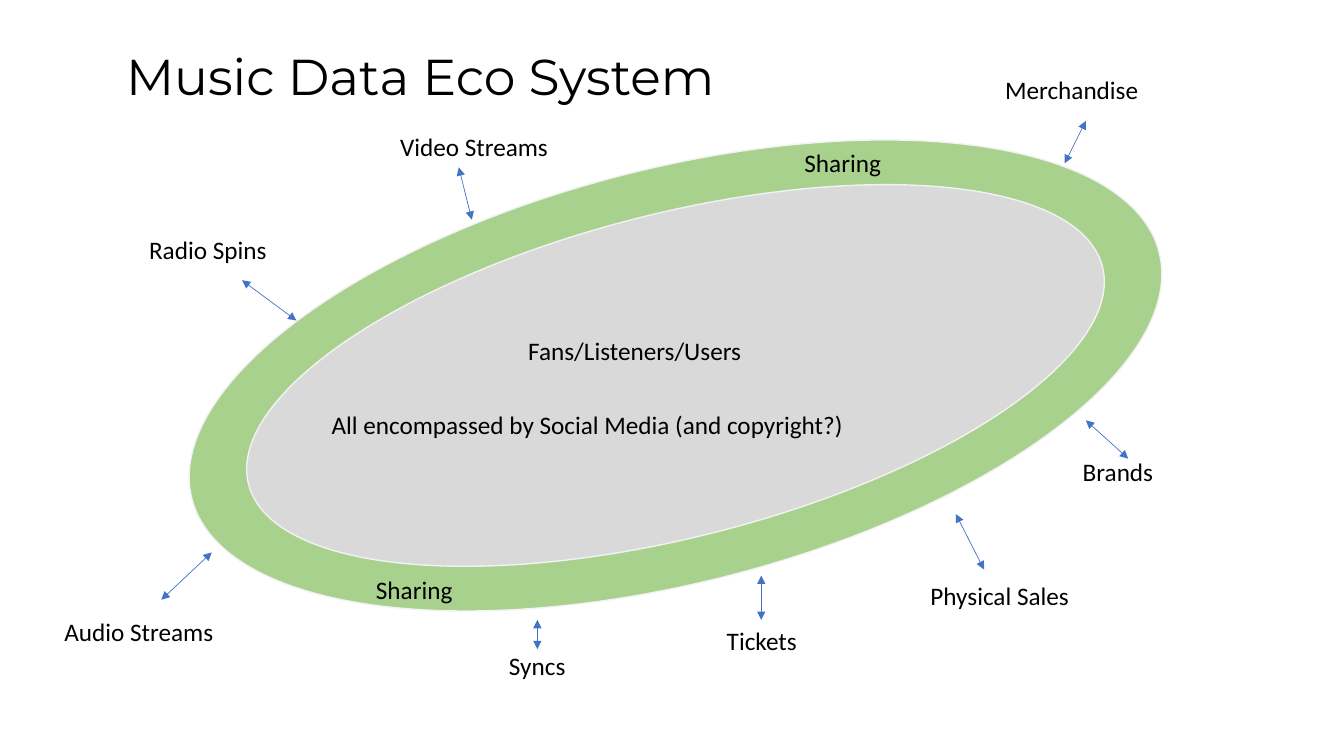
from collections import namedtuple

from lxml import etree
from pptx import Presentation
from pptx.dml.color import RGBColor
from pptx.enum.shapes import MSO_CONNECTOR, MSO_SHAPE
from pptx.enum.text import MSO_ANCHOR, MSO_AUTO_SIZE, PP_ALIGN
from pptx.oxml.ns import qn
from pptx.util import Inches, Pt

STRAIGHT = MSO_CONNECTOR.STRAIGHT
OVAL = MSO_SHAPE.OVAL
TOP = MSO_ANCHOR.TOP
NO_FIT = MSO_AUTO_SIZE.NONE
LEFT = PP_ALIGN.LEFT

BLACK = RGBColor(0x00, 0x00, 0x00)
GREEN = RGBColor(0xA9, 0xD1, 0x8E)
GRAY = RGBColor(0xD9, 0xD9, 0xD9)
PALE = RGBColor(0xF2, 0xF2, 0xF2)
BLUE = RGBColor(0x44, 0x72, 0xC4)

Box = namedtuple("Box", "left top width height")

TITLE_BOX = Box(1.15, 0.4, 7.97, 0.71)
RING_BOX = Box(1.75, 1.67, 9.9, 4.11)
RING_INSET = (0.58, 0.45)
TILT = 345.7
LABEL_HEIGHT = 0.4

# Offsets are measured from the ring box: label left, top, width; arrow inner and outer ends.
SOURCES = [
    ("Physical Sales", (7.38, 4.04, 1.79), (7.73, 3.43), (8.01, 3.98)),
    ("Syncs", (3.2, 4.73, 1.17), (3.58, 4.48), (3.58, 4.77)),
    ("Audio Streams", (-1.21, 4.4, 1.85), (0.35, 3.81), (-0.15, 4.28)),
    ("Radio Spins", (-0.37, 0.61, 1.41), (1.19, 1.51), (0.65, 1.11)),
    ("Video Streams", (2.12, -0.42, 2.14), (2.93, 0.51), (2.8, -0.01)),
    ("Merchandise", (8.12, -0.98, 1.79), (8.81, -0.05), (9.02, -0.47)),
    ("Brands", (8.89, 2.81, 1.79), (9.02, 2.5), (9.44, 2.88)),
    ("Tickets", (5.36, 4.48, 1.17), (5.8, 4.04), (5.8, 4.48)),
]
CORE_LABELS = [
    ("Fans/Listeners/Users", (3.39, 1.61, 2.45)),
    ("All encompassed by Social Media (and copyright?)", (1.44, 2.34, 5.48)),
    ("Sharing", (6.13, -0.26, 1.18)),
    ("Sharing", (1.88, 3.98, 1.18)),
]


def inches(*lengths):
    return [Inches(length) for length in lengths]


def format_text(shape, text, font_name, size):
    frame = shape.text_frame
    frame.text = text
    frame.word_wrap = True
    frame.auto_size = NO_FIT
    frame.vertical_anchor = TOP
    para = frame.paragraphs[0]
    para.alignment = LEFT
    para.line_spacing = 1.0
    font = para.runs[0].font
    font.name = font_name
    font.size = Pt(size)
    font.color.rgb = BLACK


def add_title(slide, box):
    title = slide.shapes.title
    title.left, title.top, title.width, title.height = inches(*box)
    format_text(title, "Music Data Eco System", "Montserrat", 36)


def add_label(slide, box, text, place):
    left, top, width = place
    label = slide.shapes.add_textbox(
        *inches(box.left + left, box.top + top, width, LABEL_HEIGHT))
    format_text(label, text, "Calibri", 18)


def add_ellipse(slide, box, color):
    ellipse = slide.shapes.add_shape(OVAL, *inches(*box))
    ellipse.rotation = TILT
    ellipse.shadow.inherit = False
    ellipse.fill.solid()
    ellipse.fill.fore_color.rgb = color
    ellipse.line.color.rgb = PALE
    ellipse.line.width = Pt(1)


def add_double_arrow(slide, box, inner, outer):
    ends = [box.left + inner[0], box.top + inner[1],
            box.left + outer[0], box.top + outer[1]]
    arrow = slide.shapes.add_connector(STRAIGHT, *inches(*ends))
    arrow.line.color.rgb = BLUE
    arrow.line.width = Pt(0.5)
    line = arrow.line._get_or_add_ln()
    for end in ("a:headEnd", "a:tailEnd"):
        etree.SubElement(line, qn(end), type="triangle")
    etree.SubElement(arrow._element.spPr, qn("a:effectLst"))


def add_core(slide, box):
    across, down = RING_INSET
    inside = Box(box.left + across, box.top + down,
                 box.width - 2 * across, box.height - 2 * down)
    add_ellipse(slide, box, GREEN)
    add_ellipse(slide, inside, GRAY)
    for text, place in CORE_LABELS:
        add_label(slide, box, text, place)


def add_sources(slide, box):
    for text, place, inner, outer in SOURCES:
        add_label(slide, box, text, place)
        add_double_arrow(slide, box, inner, outer)


def main():
    deck = Presentation()
    deck.slide_width, deck.slide_height = inches(13.33, 7.5)
    slide = deck.slides.add_slide(deck.slide_layouts.get_by_name("Title Only"))
    add_title(slide, TITLE_BOX)
    add_core(slide, RING_BOX)
    add_sources(slide, RING_BOX)
    deck.save("out.pptx")


if __name__ == "__main__":
    main()
